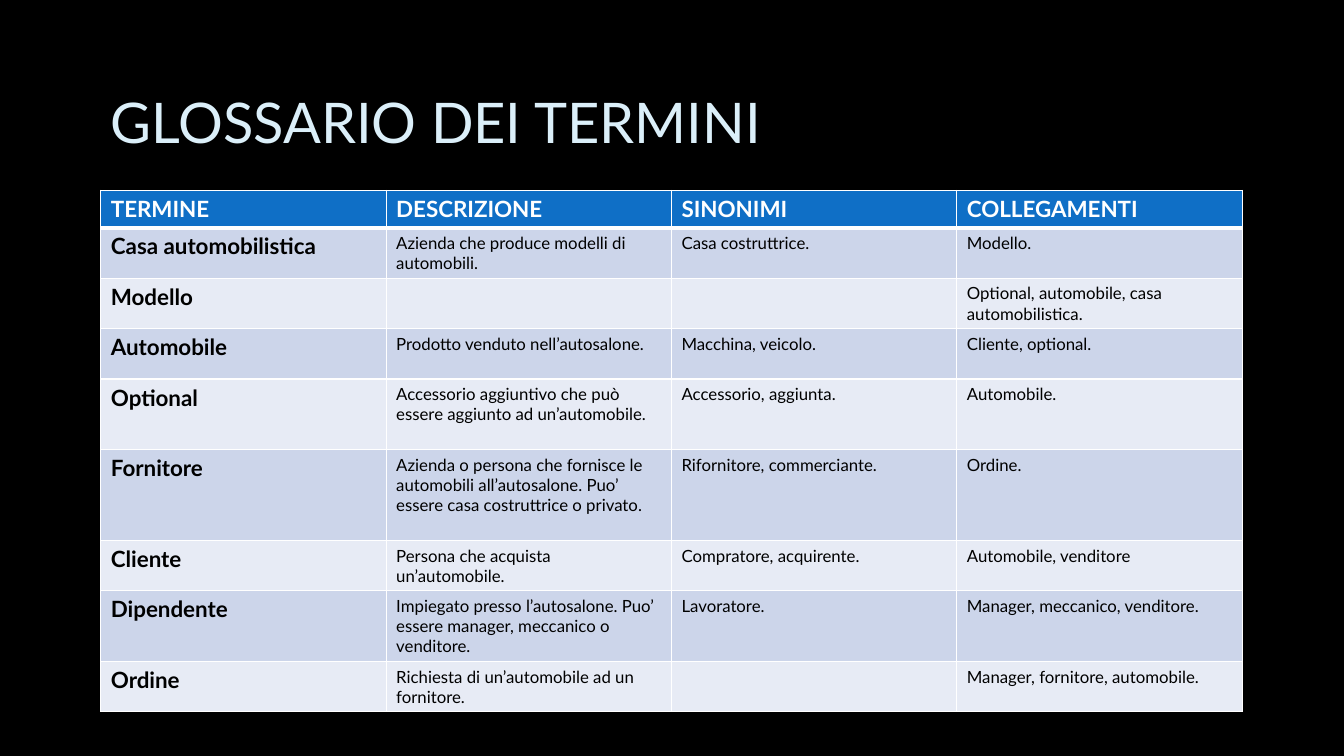
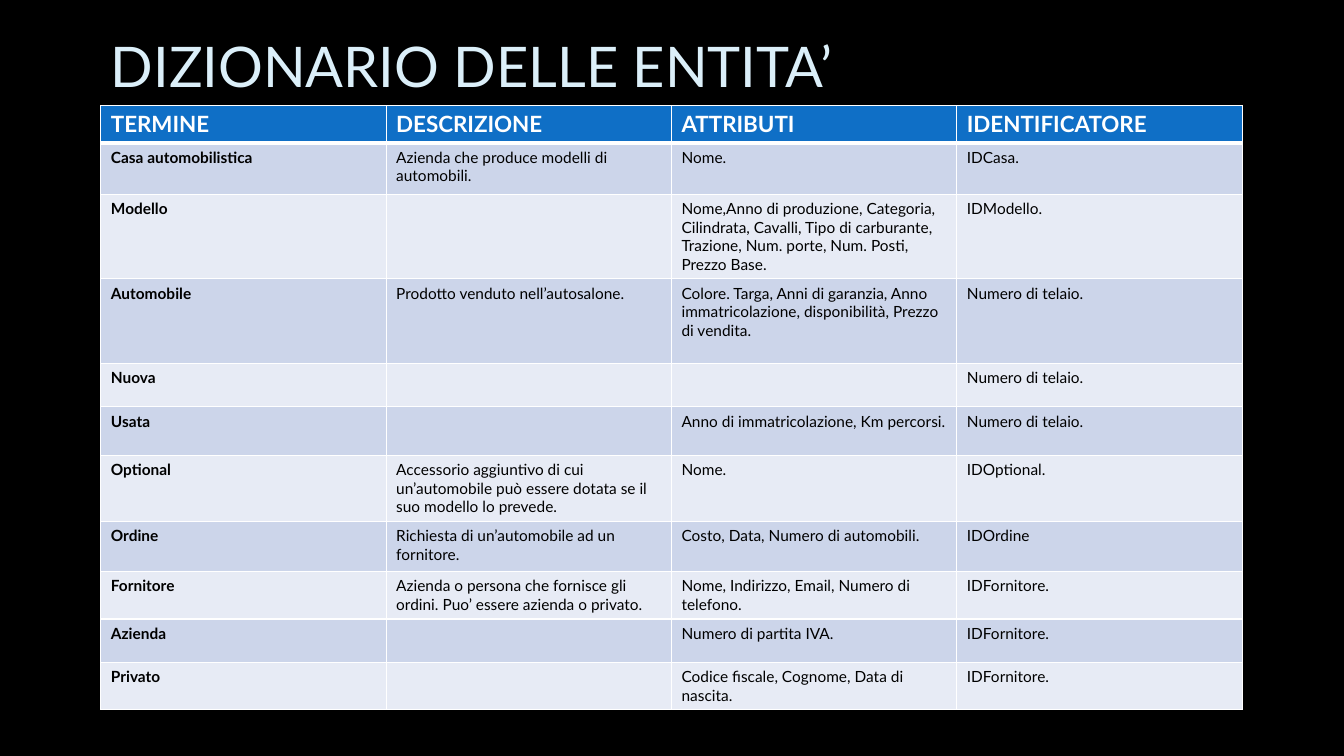
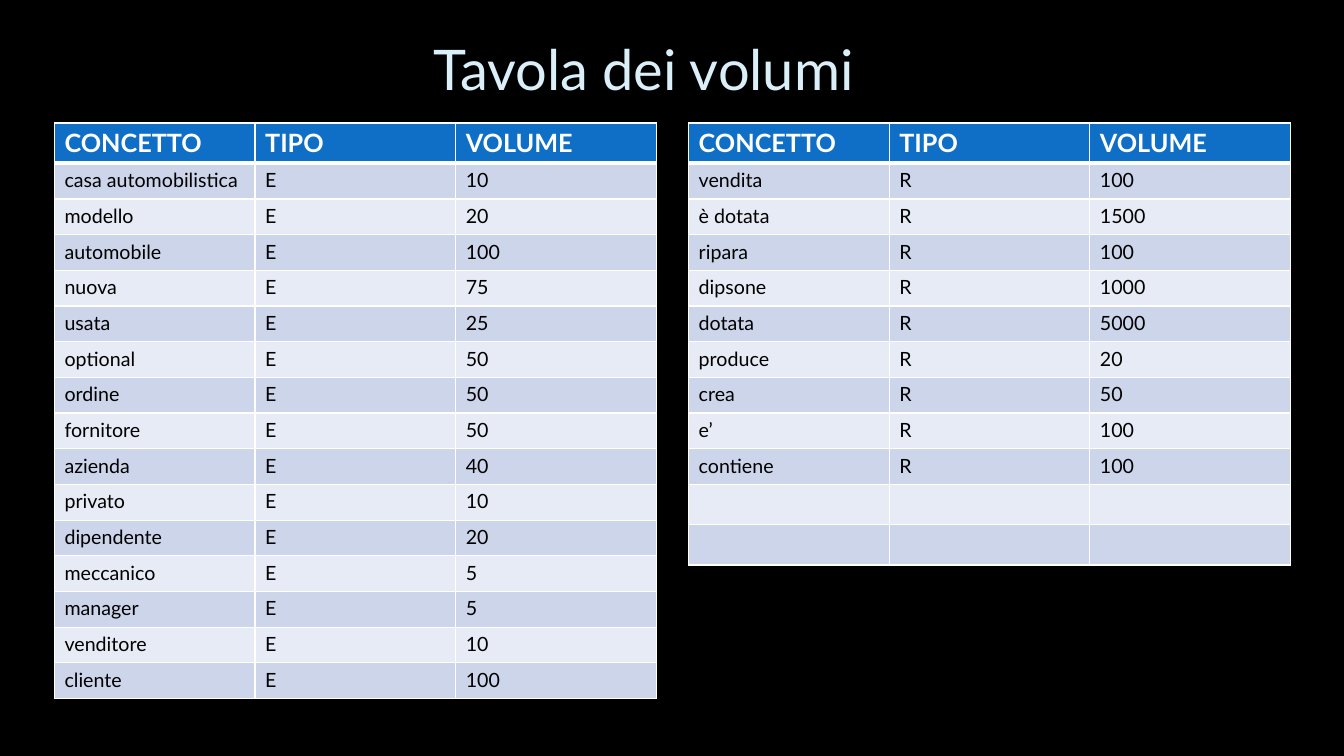
from dataclasses import dataclass

from lxml.etree import SubElement
from pptx import Presentation
from pptx.dml.color import RGBColor
from pptx.enum.text import MSO_ANCHOR, MSO_AUTO_SIZE, PP_ALIGN
from pptx.oxml.ns import qn
from pptx.util import Inches, Pt


@dataclass(frozen=True)
class Theme:
    font: str = "Lato"
    background: str = "000000"
    title: str = "DBEFF9"
    outline: str = "404040"
    header: str = "0F6FC6"
    header_text: str = "FFFFFF"
    body_text: str = "000000"
    border: str = "FFFFFF"
    bands: tuple = ("CCD5EA", "E7EBF5")
    title_size: int = 40
    header_size: int = 16
    volume_header_size: int = 18
    term_size: int = 16
    description_size: int = 12
    entity_size: int = 11
    volume_size: int = 14
    thin: int = 1
    thick: int = 3


def add_line_fill(ln, color, alpha=None):
    fill = SubElement(ln, qn("a:solidFill"))
    clr = SubElement(fill, qn("a:srgbClr"), val=color)
    if alpha is not None:
        SubElement(clr, qn("a:alpha"), val=str(alpha * 1000))


class Deck:
    """Holds the theme, the presentation and the current slide."""

    def __init__(self, theme):
        self.theme = theme
        self.prs = Presentation()
        self.prs.slide_width = Inches(13.33)
        self.prs.slide_height = Inches(7.5)
        fill = self.prs.slide_master.background.fill
        fill.solid()
        fill.fore_color.rgb = RGBColor.from_string(theme.background)
        self.s = None

    def style(self, p, size, color, bold=False):
        p.font.name = self.theme.font
        p.font.size = Pt(size)
        p.font.bold = bold
        p.font.color.rgb = RGBColor.from_string(color)

    def slide(self, title, left, top, width, height):
        """Start a slide with its title."""
        self.s = self.prs.slides.add_slide(self.prs.slide_layouts[5])
        sp = self.s.shapes.title
        sp.left, sp.top = Inches(left), Inches(top)
        sp.width, sp.height = Inches(width), Inches(height)
        tf = sp.text_frame
        tf.auto_size = MSO_AUTO_SIZE.NONE
        tf.vertical_anchor = MSO_ANCHOR.MIDDLE
        tf.word_wrap = True
        p = tf.paragraphs[0]
        p.alignment = PP_ALIGN.LEFT
        self.style(p, self.theme.title_size, self.theme.title)
        r = p.add_run()
        r.text = title
        # Faint outline around the letters
        rPr = r._r.get_or_add_rPr()
        ln = SubElement(rPr, qn("a:ln"), w=str(Pt(0.75)))
        add_line_fill(ln, self.theme.outline, alpha=10)
        rPr.insert(0, ln)

    def borders(self, cell, top, bottom):
        tcPr = cell._tc.get_or_add_tcPr()
        thin = self.theme.thin
        for side, width in (("L", thin), ("R", thin), ("T", top), ("B", bottom)):
            ln = SubElement(tcPr, qn(f"a:ln{side}"), w=str(Pt(width)))
            add_line_fill(ln, self.theme.border)

    def table(self, left, top, col_width, heights, rows, header_size, body_size,
              term_size=None):
        """Add a banded table; a term_size makes the first column bold."""
        t = self.theme
        n_cols = len(rows[0])
        table = self.s.shapes.add_table(
            len(rows), n_cols, Inches(left), Inches(top),
            Inches(col_width * n_cols), Inches(sum(heights))).table
        for column in table.columns:
            column.width = Inches(col_width)
        for i, (height, texts) in enumerate(zip(heights, rows)):
            table.rows[i].height = Inches(height)
            for j, text in enumerate(texts):
                cell = table.cell(i, j)
                self.borders(cell, t.thick if i == 1 else t.thin,
                             t.thick if i == 0 else t.thin)
                cell.fill.solid()
                cell.fill.fore_color.rgb = RGBColor.from_string(
                    t.bands[(i - 1) % 2] if i else t.header)
                cell.text = text
                p = cell.text_frame.paragraphs[0]
                if i == 0:
                    self.style(p, header_size, t.header_text, bold=True)
                elif j == 0 and term_size:
                    self.style(p, term_size, t.body_text, bold=True)
                else:
                    self.style(p, body_size, t.body_text)


# Table contents
GLOSSARY = [
    ("TERMINE", "DESCRIZIONE", "SINONIMI", "COLLEGAMENTI"),
    ("Casa automobilistica", "Azienda che produce modelli di automobili.",
     "Casa costruttrice.", "Modello."),
    ("Modello", "", "", "Optional, automobile, casa automobilistica."),
    ("Automobile", "Prodotto venduto nell’autosalone.", "Macchina, veicolo.",
     "Cliente, optional."),
    ("Optional", "Accessorio aggiuntivo che può essere aggiunto ad un’automobile.",
     "Accessorio, aggiunta.", "Automobile."),
    ("Fornitore", "Azienda o persona che fornisce le automobili all’autosalone. "
     "Puo’ essere casa costruttrice o privato.",
     "Rifornitore, commerciante.", "Ordine."),
    ("Cliente", "Persona che acquista un’automobile.",
     "Compratore, acquirente.", "Automobile, venditore"),
    ("Dipendente", "Impiegato presso l’autosalone. Puo’ essere manager, meccanico "
     "o venditore.", "Lavoratore.", "Manager, meccanico, venditore."),
    ("Ordine", "Richiesta di un’automobile ad un fornitore.", "",
     "Manager, fornitore, automobile."),
]
GLOSSARY_HEIGHTS = [0.37, 0.5, 0.5, 0.5, 0.7, 0.9, 0.5, 0.7, 0.5]

ENTITIES = [
    ("TERMINE", "DESCRIZIONE", "ATTRIBUTI", "IDENTIFICATORE"),
    ("Casa automobilistica", "Azienda che produce modelli di automobili.",
     "Nome.", "IDCasa."),
    ("Modello", "", "Nome,Anno di produzione, Categoria, Cilindrata, Cavalli, "
     "Tipo di carburante, Trazione, Num. porte, Num. Posti, Prezzo Base.",
     "IDModello."),
    ("Automobile", "Prodotto venduto nell’autosalone.",
     "Colore. Targa, Anni di garanzia, Anno immatricolazione, disponibilità, "
     "Prezzo di vendita.", "Numero di telaio."),
    ("Nuova", "", "", "Numero di telaio."),
    ("Usata", "", "Anno di immatricolazione, Km percorsi.", "Numero di telaio."),
    ("Optional", "Accessorio aggiuntivo di cui un’automobile può essere dotata se "
     "il suo modello lo prevede.", "Nome.", "IDOptional."),
    ("Ordine", "Richiesta di un’automobile ad un fornitore.",
     "Costo, Data, Numero di automobili.", "IDOrdine"),
    ("Fornitore", "Azienda o persona che fornisce gli ordini. Puo’ essere azienda "
     "o privato.", "Nome, Indirizzo, Email, Numero di telefono.", "IDFornitore."),
    ("Azienda", "", "Numero di partita IVA.", "IDFornitore."),
    ("Privato", "", "Codice fiscale, Cognome, Data di nascita.", "IDFornitore."),
]
ENTITY_HEIGHTS = [0.36, 0.51, 0.84, 0.84, 0.43, 0.48, 0.65, 0.5, 0.46, 0.43, 0.47]

VOLUME_HEADER = ("CONCETTO", "TIPO", "VOLUME")
ENTITY_VOLUMES = [
    ("casa automobilistica", 10), ("modello", 20), ("automobile", 100),
    ("nuova", 75), ("usata", 25), ("optional", 50), ("ordine", 50),
    ("fornitore", 50), ("azienda", 40), ("privato", 10), ("dipendente", 20),
    ("meccanico", 5), ("manager", 5), ("venditore", 10), ("cliente", 100),
]
RELATION_VOLUMES = [
    ("vendita", 100), ("è dotata", 1500), ("ripara", 100), ("dipsone", 1000),
    ("dotata", 5000), ("produce", 20), ("crea", 50), ("e’", 100),
    ("contiene", 100),
]


def main():
    theme = Theme()
    deck = Deck(theme)

    # Glossary of terms
    deck.slide("GLOSSARIO DEI TERMINI", 1, 0.67, 11.32, 1.06)
    deck.table(1, 1.89, 2.83, GLOSSARY_HEIGHTS, GLOSSARY, theme.header_size,
               theme.description_size, theme.term_size)

    # Dictionary of entities
    deck.slide("DIZIONARIO DELLE ENTITA’", 1, 0.12, 11.32, 1.06)
    deck.table(1, 1.05, 2.83, ENTITY_HEIGHTS, ENTITIES, theme.header_size,
               theme.entity_size, theme.entity_size)

    # Volumes: entities on the left, relations on the right
    deck.slide("Tavola dei volumi", 4.2, 0.29, 4.46, 0.77)
    header_height, empty_height = 0.39, 0.4
    row_height = (5.7 - header_height) / len(ENTITY_VOLUMES)
    for left, kind, volumes, empty_rows in ((0.54, "E", ENTITY_VOLUMES, 0),
                                            (6.83, "R", RELATION_VOLUMES, 2)):
        rows = [VOLUME_HEADER]
        rows += [(name, kind, str(volume)) for name, volume in volumes]
        rows += [("", "", "")] * empty_rows
        heights = ([header_height] + [row_height] * len(volumes)
                   + [empty_height] * empty_rows)
        deck.table(left, 1.22, 1.99, heights, rows, theme.volume_header_size,
                   theme.volume_size)

    deck.prs.save("out.pptx")


if __name__ == "__main__":
    main()
